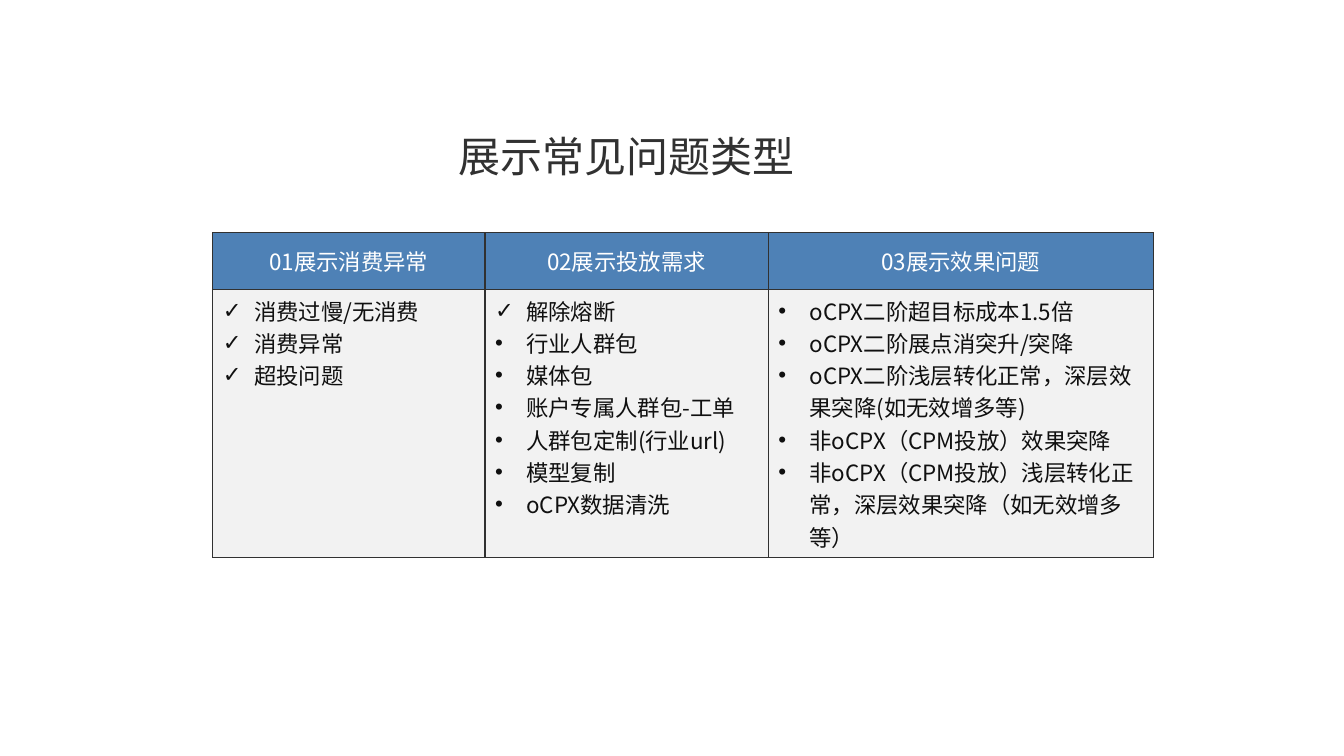
from dataclasses import dataclass

import pptx
import pptx.dml.color
import pptx.enum.text
import pptx.oxml
import pptx.oxml.ns
import pptx.util
from pptx.util import Inches

RGBColor = pptx.dml.color.RGBColor
DARK = RGBColor(0x31, 0x31, 0x31)
INK = RGBColor(0x10, 0x10, 0x10)
WHITE = RGBColor(0xFF, 0xFF, 0xFF)
HEADER_BLUE = RGBColor(0x4E, 0x81, 0xB6)
BODY_GREY = RGBColor(0xF2, 0xF2, 0xF2)
FONT = "Noto Sans CJK SC"
BULLET_FONT = "Arial"
CHECK, DOT = "✓", "•"
INDENT = Inches(0.31)
ROW_HEIGHTS = (0.56, 2.66)
LEFT = pptx.enum.text.PP_ALIGN.LEFT
CENTER = pptx.enum.text.PP_ALIGN.CENTER
MIDDLE = pptx.enum.text.MSO_ANCHOR.MIDDLE
TOP = pptx.enum.text.MSO_ANCHOR.TOP


@dataclass(frozen=True)
class Issue:
    text: str
    bullet: str = DOT


@dataclass(frozen=True)
class Category:
    heading: str
    width: float
    issues: tuple[Issue, ...]


CATEGORIES = (
    Category("01展示消费异常", 2.7, (
        Issue("消费过慢/无消费", CHECK),
        Issue("消费异常", CHECK),
        Issue("超投问题", CHECK),
    )),
    Category("02展示投放需求", 2.81, (
        Issue("解除熔断", CHECK),
        Issue("行业人群包"),
        Issue("媒体包"),
        Issue("账户专属人群包-工单"),
        Issue("人群包定制(行业url)"),
        Issue("模型复制"),
        Issue("oCPX数据清洗"),
    )),
    Category("03展示效果问题", 3.82, (
        Issue("oCPX二阶超目标成本1.5倍"),
        Issue("oCPX二阶展点消突升/突降"),
        Issue("oCPX二阶浅层转化正常，深层效果突降(如无效增多等)"),
        Issue("非oCPX（CPM投放）效果突降"),
        Issue("非oCPX（CPM投放）浅层转化正常，深层效果突降（如无效增多等）"),
    )),
)


def add_run(paragraph, text: str, size: float, color: RGBColor) -> None:
    run = paragraph.add_run()
    run.text = text
    run.font.size = pptx.util.Pt(size)
    run.font.bold = False
    run.font.color.rgb = color
    run.font.name = FONT
    east_asian = pptx.oxml.parse_xml(
        f'<a:ea {pptx.oxml.ns.nsdecls("a")} typeface="{FONT}"/>')
    run.font._element.append(east_asian)


def set_bullet(paragraph, bullet: str) -> None:
    properties = paragraph._p.get_or_add_pPr()
    properties.set("marL", str(INDENT))
    properties.set("indent", str(-INDENT))
    namespace = pptx.oxml.ns.nsdecls("a")
    for tag in (f'buFont {namespace} typeface="{BULLET_FONT}"',
                f'buChar {namespace} char="{bullet}"'):
        properties.append(pptx.oxml.parse_xml(f"<a:{tag}/>"))


def style_cell(cell, fill: RGBColor, anchor) -> None:
    # Borders precede the fill in the cell properties
    properties = cell._tc.get_or_add_tcPr()
    for side in "LRTB":
        properties.append(pptx.oxml.parse_xml(
            f'<a:ln{side} {pptx.oxml.ns.nsdecls("a")} w="{pptx.util.Pt(1)}">'
            f'<a:solidFill><a:srgbClr val="{DARK}"/></a:solidFill></a:ln{side}>'))
    cell.fill.solid()
    cell.fill.fore_color.rgb = fill
    cell.vertical_anchor = anchor


def add_title(slide, text: str) -> None:
    title = slide.shapes.title
    title.left, title.top = Inches(4.45), Inches(1.24)
    title.width, title.height = Inches(3.54), Inches(0.61)
    frame = title.text_frame
    frame.word_wrap = False
    frame.auto_size = pptx.enum.text.MSO_AUTO_SIZE.SHAPE_TO_FIT_TEXT
    frame.vertical_anchor = TOP
    heading = frame.paragraphs[0]
    heading.alignment = LEFT
    heading.line_spacing = 1.0
    add_run(heading, text, 30, DARK)


def add_issue_table(slide, categories: tuple[Category, ...]) -> None:
    table = slide.shapes.add_table(
        len(ROW_HEIGHTS), len(categories), Inches(2.11), Inches(2.31),
        Inches(sum(category.width for category in categories)),
        Inches(sum(ROW_HEIGHTS))).table
    for row, height in zip(table.rows, ROW_HEIGHTS):
        row.height = Inches(height)
    for column, category in enumerate(categories):
        table.columns[column].width = Inches(category.width)

        # Heading cell
        header = table.cell(0, column)
        style_cell(header, HEADER_BLUE, MIDDLE)
        heading = header.text_frame.paragraphs[0]
        heading.alignment = CENTER
        add_run(heading, category.heading, 16, WHITE)

        # Bulleted issues
        body = table.cell(1, column)
        style_cell(body, BODY_GREY, TOP)
        frame = body.text_frame
        for position, issue in enumerate(category.issues):
            entry = frame.add_paragraph() if position else frame.paragraphs[0]
            set_bullet(entry, issue.bullet)
            add_run(entry, issue.text, 16, INK)


def main() -> None:
    presentation = pptx.Presentation()
    presentation.slide_width = Inches(13.33)
    presentation.slide_height = Inches(7.5)
    slide = presentation.slides.add_slide(presentation.slide_layouts[5])
    add_title(slide, "展示常见问题类型")
    add_issue_table(slide, CATEGORIES)
    presentation.save("out.pptx")


if __name__ == "__main__":
    main()
